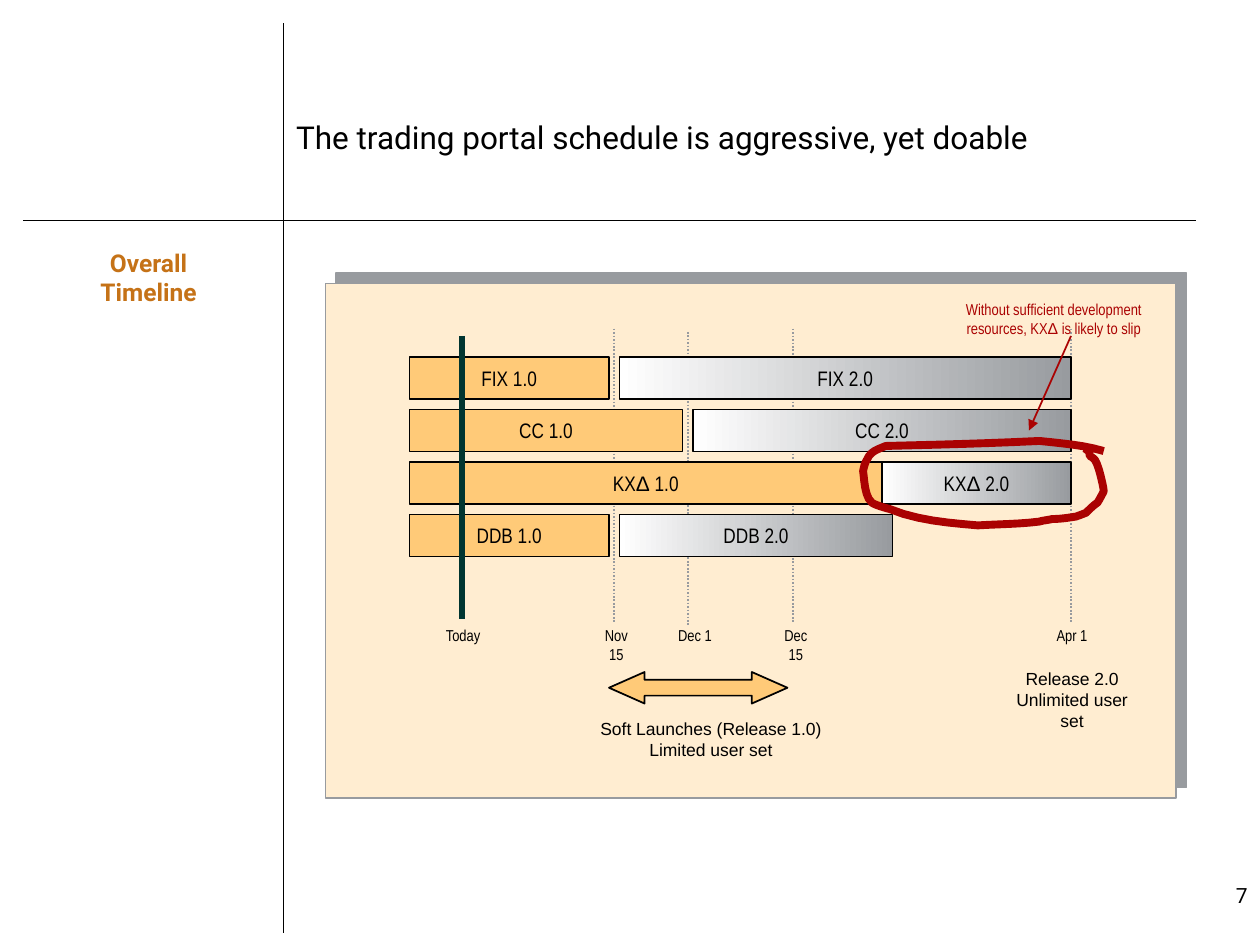
from dataclasses import dataclass

from lxml.etree import SubElement
from pptx import Presentation
from pptx.dml.color import RGBColor
from pptx.enum.dml import MSO_LINE
from pptx.enum.shapes import MSO_CONNECTOR, MSO_SHAPE
from pptx.enum.text import MSO_ANCHOR, PP_ALIGN
from pptx.oxml.ns import qn
from pptx.util import Inches, Pt

BLACK = RGBColor(0x00, 0x00, 0x00)
WHITE = RGBColor(0xFF, 0xFF, 0xFF)
GREY = RGBColor(0x98, 0x9B, 0x9F)
CREAM = RGBColor(0xFF, 0xED, 0xD1)
AMBER = RGBColor(0xFF, 0xCA, 0x78)
RUST = RGBColor(0xC5, 0x72, 0x17)
PINE = RGBColor(0x00, 0x35, 0x30)
RED = RGBColor(0xAA, 0x02, 0x02)

RECT, ARROW = MSO_SHAPE.RECTANGLE, MSO_SHAPE.LEFT_RIGHT_ARROW
STRAIGHT, DOTTED = MSO_CONNECTOR.STRAIGHT, MSO_LINE.ROUND_DOT
TOP, MIDDLE, BOTTOM = MSO_ANCHOR.TOP, MSO_ANCHOR.MIDDLE, MSO_ANCHOR.BOTTOM
LEFT, CENTER, RIGHT = PP_ALIGN.LEFT, PP_ALIGN.CENTER, PP_ALIGN.RIGHT

COLS, ROWS = 120, 90
WIDE, HIGH = Inches(10), Inches(7.5)


@dataclass
class Style:
    font: str
    size: float
    color: RGBColor = BLACK
    bold: bool = False
    align: int = CENTER
    anchor: int = TOP
    wrap: bool = False


@dataclass
class Area:
    col: float
    row: float
    cols: float
    rows: float

    def emu(self) -> tuple:
        return (*spot(self.col, self.row), *spot(self.cols, self.rows))


@dataclass
class Track:
    name: str
    first: int
    start: int
    second: int


@dataclass
class Mark:
    text: str
    col: float
    shift: float


@dataclass
class Note:
    text: str
    area: Area
    style: Style


TITLE = Style("Roboto", 18, align=LEFT, anchor=MIDDLE, wrap=True)
SIDE = Style("Roboto", 14, RUST, bold=True)
BAR = Style("Arial Narrow", 12, anchor=MIDDLE)
DATE = Style("Arial Narrow", 9)
PHASE = Style("Arial", 10)
WARN = Style("Arial Narrow", 9, RED, wrap=True)
PAGE = Style("Roboto", 12, align=RIGHT, anchor=BOTTOM, wrap=True)

TRACKS = [
    Track("FIX", 19, 59, 43),
    Track("CC", 26, 66, 36),
    Track("KXΔ", 45, 84, 18),
    Track("DDB", 19, 59, 26),
]
MARKS = [
    Mark("Nov 15", 58.5, 0.2),
    Mark("Dec 1", 65.5, 0.7),
    Mark("Dec 15", 75.5, 0.3),
    Mark("Apr 1", 102, 0.1),
]
TODAY = Mark("Today", 44, 0.1)
NOTES = [
    Note("Overall\nTimeline", Area(7.9, 23, 12.5, 6.9), SIDE),
    Note("Soft Launches (Release 1.0)\nLimited user set", Area(56, 67.8, 23.4, 5.3), PHASE),
    Note("Release 2.0\nUnlimited user set", Area(94.3, 63, 15.6, 5.3), PHASE),
    Note("Without sufficient development resources, KXΔ is likely to slip",
         Area(89, 28, 22.7, 4.8), WARN),
    Note("7", Area(100, 81, 20, 6), PAGE),
]
LOOP = [
    (8.76, 3.58), (8.59, 3.53), (8.43, 3.52), (8.25, 3.5),
    (7.84, 3.52), (7.44, 3.53), (7.03, 3.54),
    (6.96, 3.57), (6.91, 3.58), (6.88, 3.65),
    (6.86, 3.68), (6.85, 3.74), (6.85, 3.74),
    (6.86, 3.8), (6.86, 3.94), (6.92, 3.99),
    (6.95, 4.01), (7.02, 4.03), (7.06, 4.04),
    (7.28, 4.13), (7.52, 4.15), (7.76, 4.17),
    (7.93, 4.16), (8.09, 4.16), (8.25, 4.14),
    (8.28, 4.13), (8.31, 4.13), (8.35, 4.12),
    (8.41, 4.12), (8.48, 4.11), (8.54, 4.1),
    (8.57, 4.09), (8.62, 4.07), (8.62, 4.07),
    (8.65, 4.04), (8.68, 4.01), (8.71, 3.99),
    (8.73, 3.96), (8.76, 3.9), (8.76, 3.9),
    (8.76, 3.87), (8.72, 3.69), (8.69, 3.65),
    (8.68, 3.64), (8.67, 3.63), (8.65, 3.62),
    (8.64, 3.57), (8.65, 3.59), (8.61, 3.56),
]


def spot(col: float, row: float) -> tuple:
    return round(WIDE * col / COLS), round(HIGH * row / ROWS)


def write(frame, text: str, style: Style, inset: float = 0.05) -> None:
    frame.word_wrap = style.wrap
    frame.vertical_anchor = style.anchor
    frame.margin_left = frame.margin_right = Inches(0.1)
    frame.margin_top = frame.margin_bottom = Inches(inset)
    for i, line in enumerate(text.split("\n")):
        para = frame.add_paragraph() if i else frame.paragraphs[0]
        para.alignment = style.align
        for part in filter(None, line.partition("Δ")):
            run = para.add_run()
            run.text = part
            run.font.name = "Arial" if part == "Δ" else style.font
            run.font.size = Pt(style.size)
            run.font.bold = style.bold
            run.font.color.rgb = style.color


def label(slide, note: Note) -> None:
    box = slide.shapes.add_textbox(*note.area.emu())
    write(box.text_frame, note.text, note.style)


def rule(slide, start: tuple, end: tuple, color: RGBColor = BLACK, width: float = 1):
    line = slide.shapes.add_connector(STRAIGHT, *spot(*start), *spot(*end))
    line.line.color.rgb = color
    line.line.width = Pt(width)
    SubElement(line._element.spPr, qn("a:effectLst"))
    return line


def block(slide, kind: int, area: Area, fill: RGBColor | None, edge: RGBColor = BLACK):
    shape = slide.shapes.add_shape(kind, *area.emu())
    if fill is None:
        shape.fill.gradient()
        shape.fill.gradient_angle = 180
        for stop, color in zip(shape.fill.gradient_stops, (GREY, WHITE)):
            stop.color.rgb = color
    else:
        shape.fill.solid()
        shape.fill.fore_color.rgb = fill
    shape.line.color.rgb = edge
    shape.line.width = Pt(1)
    shape.shadow.inherit = False
    return shape


def panel(slide) -> None:
    shape = block(slide, RECT, Area(31, 27, 81, 49), CREAM, GREY)
    effect = shape._element.spPr.find(qn("a:effectLst"))
    shade = SubElement(effect, qn("a:outerShdw"), dist=str(Pt(8.5)),
                       dir=str(315 * 60000), algn="ctr", rotWithShape="0")
    SubElement(shade, qn("a:srgbClr"), val=str(GREY))


def date(slide, mark: Mark) -> None:
    label(slide, Note(mark.text, Area(mark.col + mark.shift - 3, 59, 6, 3), DATE))


def bars(slide, track: Track, row: int) -> None:
    parts = [(39, track.first, "1.0", AMBER), (track.start, track.second, "2.0", None)]
    for col, cols, phase, fill in parts:
        bar = block(slide, RECT, Area(col, row, cols, 4), fill)
        write(bar.text_frame, f"{track.name} {phase}", BAR)


def curve(points: list, steps: int = 6) -> list:
    dots = []
    for i in range(0, len(points) - 1, 3):
        for t in (n / steps for n in range(1, steps + 1)):
            share = ((1 - t) ** 3, 3 * t * (1 - t) ** 2, 3 * t * t * (1 - t), t ** 3)
            dots.append(tuple(Inches(sum(s * p[axis] for s, p in zip(share, points[i:i + 4])))
                              for axis in (0, 1)))
    return dots


def loop(slide) -> None:
    pen = slide.shapes.build_freeform(*map(Inches, LOOP[0]))
    pen.add_line_segments(curve(LOOP), close=False)
    shape = pen.convert_to_shape()
    shape.fill.background()
    shape.line.color.rgb = RED
    shape.line.width = Pt(4.5)
    shape.shadow.inherit = False


def main() -> None:
    deck = Presentation()
    deck.slide_width, deck.slide_height = WIDE, HIGH
    slide = deck.slides.add_slide(deck.slide_layouts[5])
    title = slide.shapes.title
    title.left, title.top, title.width, title.height = Area(27, 6.1, 87, 13.8).emu()
    write(title.text_frame, "The trading portal schedule is aggressive, yet doable", TITLE, 0.1)

    rule(slide, (27, 2.2), (27, 88.9))
    rule(slide, (2.2, 21), (113.9, 21))
    panel(slide)
    for mark in MARKS:
        drop = 0.3 if mark.text == "Dec 1" else 0
        line = rule(slide, (mark.col, 31.3 + drop), (mark.col, 59.3 + drop), GREY)
        line.line.dash_style = DOTTED
        date(slide, mark)
    for i, track in enumerate(TRACKS):
        bars(slide, track, 34 + 5 * i)
    arrow = block(slide, ARROW, Area(58, 64, 17, 3), AMBER)
    arrow.adjustments[0], arrow.adjustments[1] = 0.5, 1.13
    rule(slide, (TODAY.col, 32), (TODAY.col, 59), PINE, 3)
    date(slide, TODAY)
    loop(slide)
    for note in NOTES:
        label(slide, note)
    hint = rule(slide, (102, 32), (98, 41), RED)
    SubElement(hint._element.spPr.find(qn("a:ln")), qn("a:tailEnd"), type="triangle")
    deck.save("out.pptx")


if __name__ == "__main__":
    main()
